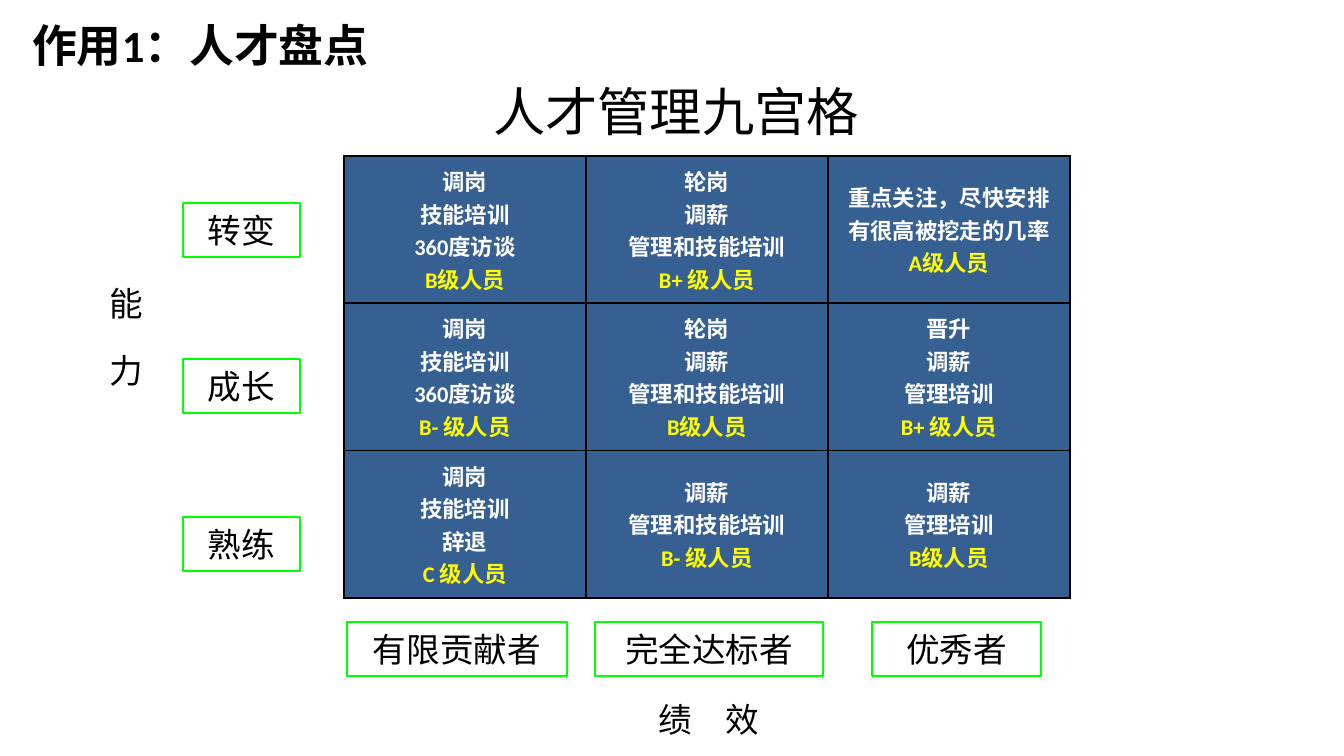
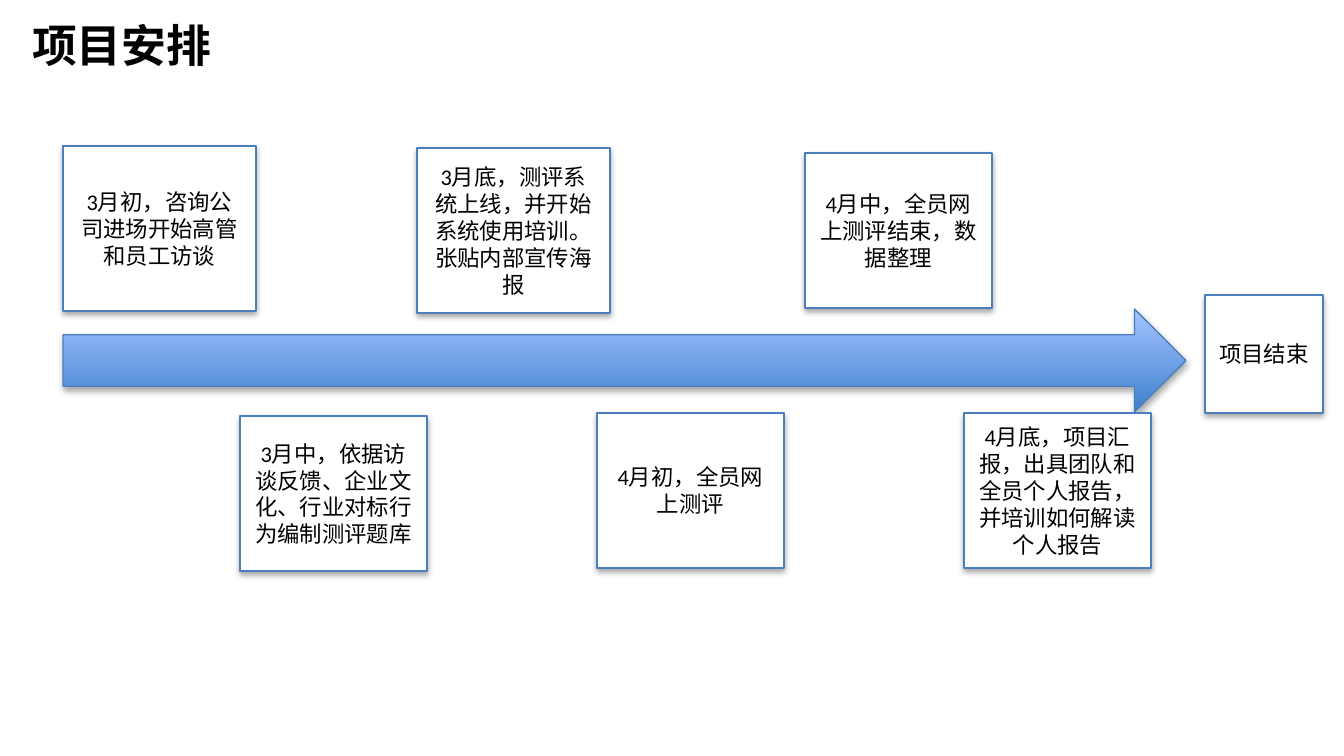
"""Build a talent nine-box grid slide and a project timeline slide."""
from pptx import Presentation
from pptx.dml.color import RGBColor
from pptx.enum.shapes import MSO_SHAPE
from pptx.enum.text import MSO_ANCHOR, PP_ALIGN
from pptx.oxml import parse_xml
from pptx.oxml.ns import nsdecls
from pptx.util import Pt

EMU_PER_PX = 914400 / 134.4
FONT = "Calibri"
COLORS = {
    "text": "000000",
    "white": "FFFFFF",
    "cell": "376092",
    "grade": "FFFF00",
    "label_line": "00FF00",
    "step_line": "4B7EBC",
    "arrow_dark": "3F80CE",
    "arrow_light": "A4C4FF",
}
RGB = {name: RGBColor.from_string(value) for name, value in COLORS.items()}


def px(*values):
    return [round(v * EMU_PER_PX) for v in values]


def add_text(tf, lines, size, color="text", bold=False, align=PP_ALIGN.CENTER, anchor=MSO_ANCHOR.TOP):
    tf.word_wrap = True
    tf.vertical_anchor = anchor
    for i, line in enumerate(lines):
        p = tf.paragraphs[0] if i == 0 else tf.add_paragraph()
        p.text = line
        p.alignment = align
        p.font.name = FONT
        p.font.size = Pt(size)
        p.font.bold = bold
        p.font.color.rgb = RGB[color]


prs = Presentation()
prs.slide_width, prs.slide_height = px(1344, 756)

slides = []
for title in ("作用1：人才盘点", "项目安排"):
    s = prs.slides.add_slide(prs.slide_layouts[6])
    sp = s.shapes.add_textbox(*px(19, 11, 824, 70))
    add_text(sp.text_frame, [title], 24, bold=True, align=PP_ALIGN.LEFT)
    slides.append(s)
grid_slide, plan_slide = slides

grid = [
    [
        ["调岗", "技能培训", "360度访谈", "B级人员"],
        ["轮岗", "调薪", "管理和技能培训", "B+ 级人员"],
        ["重点关注，尽快安排", "有很高被挖走的几率", "A级人员"],
    ],
    [
        ["调岗", "技能培训", "360度访谈", "B- 级人员"],
        ["轮岗", "调薪", "管理和技能培训", "B级人员"],
        ["晋升", "调薪", "管理培训", "B+ 级人员"],
    ],
    [
        ["调岗", "技能培训", "辞退", "C 级人员"],
        ["调薪", "管理和技能培训", "B- 级人员"],
        ["调薪", "管理培训", "B级人员"],
    ],
]
table = grid_slide.shapes.add_table(3, 3, *px(344, 156, 726, 442)).table
table.first_row = False
table.horz_banding = False
for r, row in enumerate(grid):
    for c, lines in enumerate(row):
        cell = table.cell(r, c)
        tcPr = cell._tc.get_or_add_tcPr()
        for side in "LRTB":
            tcPr.append(parse_xml(
                f'<a:ln{side} {nsdecls("a")} w="12700"><a:solidFill>'
                f'<a:srgbClr val="{COLORS["text"]}"/></a:solidFill></a:ln{side}>'
            ))
        cell.fill.solid()
        cell.fill.fore_color.rgb = RGB["cell"]
        add_text(cell.text_frame, lines, 12, "white", bold=True)
        cell.vertical_anchor = MSO_ANCHOR.MIDDLE
        cell.text_frame.paragraphs[-1].font.color.rgb = RGB["grade"]

axis_labels = [
    ("转变", 183, 203, 117),
    ("成长", 183, 359, 117),
    ("熟练", 183, 517, 117),
    ("有限贡献者", 347, 622, 220),
    ("完全达标者", 595, 622, 228),
    ("优秀者", 872, 622, 169),
]
for label, x, y, w in axis_labels:
    sp = grid_slide.shapes.add_shape(MSO_SHAPE.RECTANGLE, *px(x, y, w, 54))
    sp.shadow.inherit = False
    sp.fill.background()
    sp.line.color.rgb = RGB["label_line"]
    sp.line.width = Pt(0.75)
    add_text(sp.text_frame, [label], 18)

sp = grid_slide.shapes.add_textbox(*px(85, 274, 67, 234))
add_text(sp.text_frame, ["能　力"], 18)
sp.text_frame.margin_bottom = px(73)[0]
sp.text_frame._txBody.bodyPr.set("vert", "eaVert")

sp = grid_slide.shapes.add_textbox(*px(527, 692, 364, 54))
add_text(sp.text_frame, ["绩　效"], 18)

sp = grid_slide.shapes.add_textbox(*px(152, 65, 1048, 91))
add_text(sp.text_frame, ["人才管理九宫格"], 28, anchor=MSO_ANCHOR.MIDDLE)

arrow = plan_slide.shapes.add_shape(MSO_SHAPE.RIGHT_ARROW, *px(63, 309, 1123, 103))
arrow.fill.gradient()
arrow.fill.gradient_angle = 90
for stop, name in zip(arrow.fill.gradient_stops, ("arrow_dark", "arrow_light")):
    stop.color.rgb = RGB[name]

steps = [
    ("3月初，咨询公司进场开始高管和员工访谈", 63, 146, 193, 165),
    ("3月中，依据访谈反馈、企业文化、行业对标行为编制测评题库", 240, 416, 187, 155),
    ("项目结束", 1205, 295, 118, 118),
    ("3月底，测评系统上线，并开始系统使用培训。张贴内部宣传海报", 417, 148, 193, 165),
    ("4月初，全员网上测评", 597, 413, 187, 155),
    ("4月中，全员网上测评结束，数据整理", 805, 153, 187, 155),
    ("4月底，项目汇报，出具团队和全员个人报告，并培训如何解读个人报告", 964, 413, 187, 155),
]
plan_shapes = [arrow]
for text, x, y, w, h in steps:
    sp = plan_slide.shapes.add_shape(MSO_SHAPE.RECTANGLE, *px(x, y, w, h))
    sp.fill.solid()
    sp.fill.fore_color.rgb = RGB["white"]
    add_text(sp.text_frame, [text], 12, anchor=MSO_ANCHOR.MIDDLE)
    plan_shapes.append(sp)

for sp in plan_shapes:
    sp.line.color.rgb = RGB["step_line"]
    sp.line.width = Pt(0.75)
    sp._element.spPr.append(parse_xml(
        f'<a:effectLst {nsdecls("a")}><a:outerShdw blurRad="40000" dist="23000" dir="5400000" rotWithShape="0">'
        f'<a:srgbClr val="{COLORS["text"]}"><a:alpha val="35000"/></a:srgbClr></a:outerShdw></a:effectLst>'
    ))

prs.save("out.pptx")
